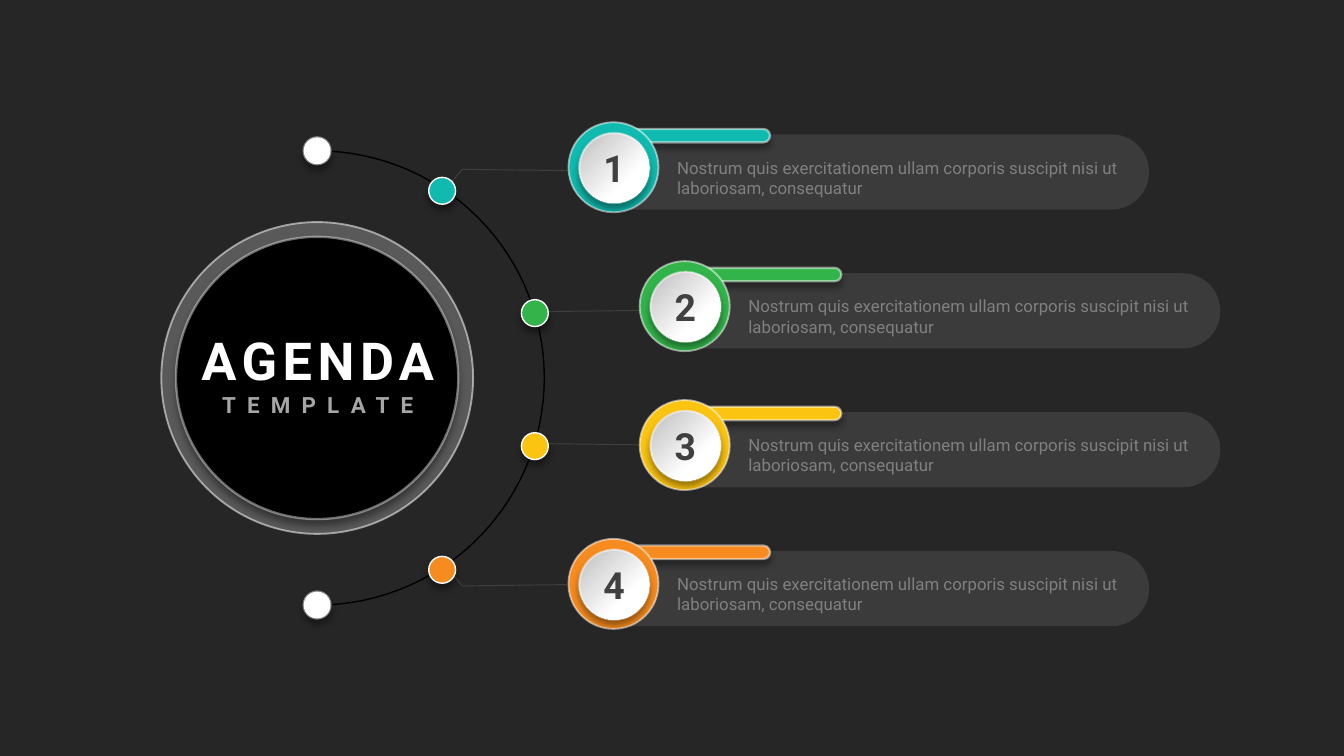
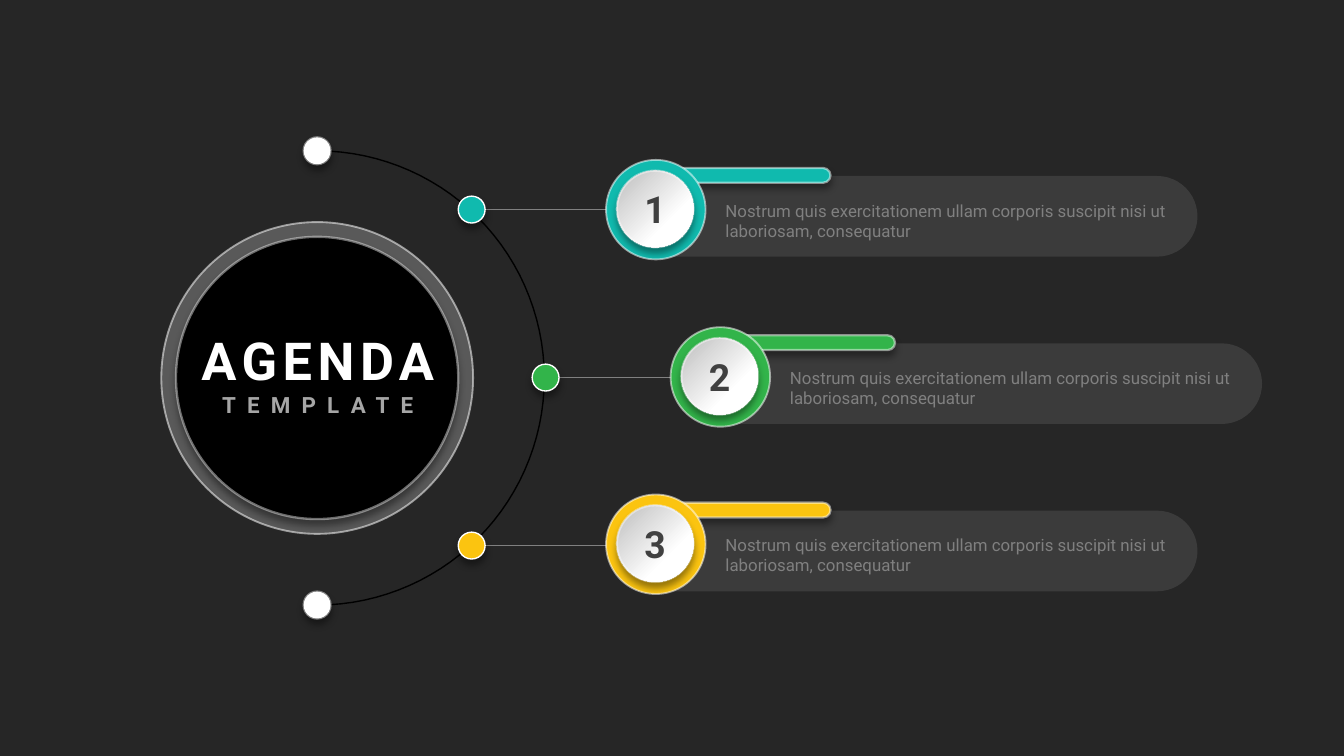
"""Build two dark agenda slides with numbered badges around an arc."""
from dataclasses import dataclass
from itertools import pairwise
from math import cos, pi, sin

from lxml import etree
from pptx import Presentation
from pptx.dml.color import RGBColor
from pptx.enum import shapes, text
from pptx.oxml.ns import qn
from pptx.util import Inches, Pt

DARK = RGBColor(0x26, 0x26, 0x26)
BLACK = RGBColor(0, 0, 0)
WHITE = RGBColor(0xFF, 0xFF, 0xFF)
GREY = RGBColor(0x59, 0x59, 0x59)
INK = RGBColor(0x40, 0x40, 0x40)
MID = RGBColor(0x80, 0x80, 0x80)
PALE = RGBColor(0xA6, 0xA6, 0xA6)
STEEL = RGBColor(0xC7, 0xC7, 0xC7)
TEAL = RGBColor(0x10, 0xBA, 0xAE)
GREEN = RGBColor(0x32, 0xB4, 0x4A)
GOLD = RGBColor(0xFB, 0xC4, 0x10)
ORANGE = RGBColor(0xF6, 0x8B, 0x1F)

FONT = "Roboto"
NOTE = "Nostrum quis exercitationem ullam corporis suscipit nisi ut laboriosam, consequatur"
WIDE = Inches(10)
HIGH = WIDE * 9 // 16
HUB = (2.36, HIGH / Inches(2))
REACH = 1.69
DOT = 0.2
OVAL = shapes.MSO_SHAPE.OVAL
ROUND = shapes.MSO_SHAPE.ROUNDED_RECTANGLE


@dataclass(frozen=True)
class Box:
    x: float
    y: float
    w: float
    h: float

    def shift(self, x: float, y: float) -> "Box":
        return Box(self.x + x, self.y + y, self.w, self.h)

    def emu(self) -> tuple:
        return tuple(Inches(v) for v in (self.x, self.y, self.w, self.h))


@dataclass(frozen=True)
class Edge:
    width: float
    alpha: int = 100


@dataclass(frozen=True)
class Badge:
    ring: Box
    knob: Box
    pill: Box
    bar: Box
    note: Box


@dataclass(frozen=True)
class Item:
    hue: RGBColor
    left: float
    dot: tuple
    wire: tuple


@dataclass(frozen=True)
class Page:
    badge: Badge
    top: float
    pitch: float
    wire: RGBColor
    items: tuple


RIM = Edge(1, 52)
GLOW = Edge(1.25, 42)
TRIM = Edge(1.25, 48)
THIN = Edge(0.75)

SMALL = Badge(Box(0, 0, 0.67, 0.67), Box(0.08, 0.08, 0.52, 0.52),
              Box(0.07, 0.09, 4.25, 0.56), Box(0.28, 0.05, 1.22, 0.1),
              Box(0.71, 0.16, 3.57, 0.54))
LARGE = Badge(Box(0, 0, 0.74, 0.74), Box(0.08, 0.08, 0.57, 0.57),
              Box(0.15, 0.12, 4.25, 0.6), Box(0.31, 0.06, 1.36, 0.11),
              Box(0.79, 0.2, 3.57, 0.54))

PAGES = (
    Page(SMALL, 0.91, 3.1 / 3, INK, (
        Item(TEAL, 4.23, (3.29, 1.42), ((3.29, 1.44), (3.44, 1.26), (4.22, 1.27))),
        Item(GREEN, 4.76, (3.98, 2.33), ((3.98, 2.32), (4.76, 2.31))),
        Item(GOLD, 4.76, (3.98, 3.32), ((3.99, 3.3), (4.76, 3.31))),
        Item(ORANGE, 4.23, (3.29, 4.24), ((3.29, 4.18), (3.44, 4.36), (4.22, 4.35))),
    )),
    Page(LARGE, 1.19, 2.49 / 2, MID, (
        Item(TEAL, 4.51, (3.51, 1.56), ((3.53, 1.56), (4.58, 1.56))),
        Item(GREEN, 4.99, (4.06, 2.81), ((4.06, 2.81), (5.11, 2.81))),
        Item(GOLD, 4.51, (3.51, 4.06), ((3.53, 4.06), (4.58, 4.06))),
    )),
)


def disc(mid: tuple, size: float) -> Box:
    return Box(mid[0] - size / 2, mid[1] - size / 2, size, size)


def fade(node, pct: int) -> None:
    tone = node.find(".//" + qn("a:srgbClr"))
    etree.SubElement(tone, qn("a:alpha"), val=str(pct * 1000))


def shade(shape) -> None:
    effect = shape.element.spPr.find(qn("a:effectLst"))
    drop = etree.SubElement(effect, qn("a:outerShdw"), blurRad=str(Pt(4)),
                            dist=str(Pt(3)), dir="5400000", rotWithShape="0")
    etree.SubElement(drop, qn("a:srgbClr"), val="000000")
    fade(drop, 40)


def write(para, words: str, size: float, hue: RGBColor,
          bold: bool = False, gap: int = 0) -> None:
    run = para.add_run()
    run.text = words
    run.font.name = FONT
    run.font.size = Pt(size)
    run.font.bold = bold
    run.font.color.rgb = hue
    if gap:
        run.font._element.set("spc", str(gap * 100))


def draw(slide, kind, box: Box, fill: RGBColor, edge: Edge | None = None,
         drop: bool = False):
    shape = slide.shapes.add_shape(kind, *box.emu())
    shape.shadow.inherit = False
    shape.fill.solid()
    shape.fill.fore_color.rgb = fill
    if kind == ROUND:
        shape.adjustments[0] = 0.5
    if edge:
        shape.line.color.rgb = WHITE
        shape.line.width = Pt(edge.width)
        if edge.alpha < 100:
            fade(shape.element.spPr.find(qn("a:ln")), edge.alpha)
    else:
        shape.line.fill.background()
    if drop:
        shade(shape)
    return shape


def add_arc(slide) -> None:
    turns = [pi * i / 60 for i in range(61)]
    dots = [(Inches(HUB[0] + REACH * sin(t)), Inches(HUB[1] - REACH * cos(t)))
            for t in turns]
    path = slide.shapes.build_freeform(*dots[0])
    path.add_line_segments(dots[1:], close=False)
    arc = path.convert_to_shape()
    arc.shadow.inherit = False
    arc.fill.background()
    arc.line.color.rgb = BLACK
    arc.line.width = Pt(0.75)
    for side in (-1, 1):
        end = (HUB[0], HUB[1] + side * REACH)
        draw(slide, OVAL, disc(end, DOT), WHITE, GLOW, True)


def add_wire(slide, item: Item, hue: RGBColor) -> None:
    for start, end in pairwise(item.wire):
        line = slide.shapes.add_connector(
            shapes.MSO_CONNECTOR.STRAIGHT, *map(Inches, start + end))
        line.line.color.rgb = hue
        line.line.width = Pt(0.5)
        etree.SubElement(line.element.spPr, qn("a:effectLst"))
    draw(slide, OVAL, disc(item.dot, DOT), item.hue, THIN, True)


def add_badge(slide, badge: Badge, item: Item, top: float, label: str) -> None:
    at = (item.left, top)
    pill = draw(slide, ROUND, badge.pill.shift(*at), GREY)
    fade(pill.element.spPr, 42)
    draw(slide, ROUND, badge.bar.shift(*at), item.hue, TRIM, True)
    draw(slide, OVAL, badge.ring.shift(*at), item.hue, RIM)

    knob = draw(slide, OVAL, badge.knob.shift(*at), WHITE, GLOW, True)
    knob.fill.gradient()
    knob.fill.gradient_angle = 315
    for stop, hue, spot in zip(knob.fill.gradient_stops, (STEEL, WHITE), (0.09, 0.68)):
        stop.color.rgb = hue
        stop.position = spot
    knob.text_frame.vertical_anchor = text.MSO_ANCHOR.MIDDLE
    para = knob.text_frame.paragraphs[0]
    para.alignment = text.PP_ALIGN.CENTER
    write(para, label, 20, INK, True)

    frame = slide.shapes.add_textbox(*badge.note.shift(*at).emu()).text_frame
    frame.word_wrap = True
    frame.margin_left = frame.margin_right = Inches(0.1)
    frame.margin_top = frame.margin_bottom = Inches(0.1)
    write(frame.paragraphs[0], NOTE, 9, MID)


def add_hub(slide) -> None:
    draw(slide, OVAL, disc(HUB, 2.32), GREY, RIM)
    draw(slide, OVAL, disc(HUB, 2.1), BLACK, GLOW, True)
    title = slide.shapes.title
    title.left, title.top, title.width, title.height = Box(1.17, 2.39, 2.39, 0.77).emu()
    title.element.getparent().append(title.element)
    frame = title.text_frame
    frame.word_wrap = True
    frame.auto_size = text.MSO_AUTO_SIZE.SHAPE_TO_FIT_TEXT
    frame.vertical_anchor = text.MSO_ANCHOR.TOP
    head, sub = frame.paragraphs[0], frame.add_paragraph()
    for para in (head, sub):
        para.alignment = text.PP_ALIGN.CENTER
    write(head, "AGENDA", 28, WHITE, True, 3)
    write(sub, "TEMPLATE", 12, PALE, True, 6)


def add_page(deck, page: Page) -> None:
    slide = deck.slides.add_slide(deck.slide_layouts[5])
    add_arc(slide)
    for item in page.items:
        add_wire(slide, item, page.wire)
    for row, item in enumerate(page.items):
        add_badge(slide, page.badge, item, page.top + row * page.pitch, str(row + 1))
    add_hub(slide)


def main() -> None:
    deck = Presentation()
    deck.slide_width, deck.slide_height = WIDE, HIGH
    back = deck.slide_master.background.fill
    back.solid()
    back.fore_color.rgb = DARK
    for page in PAGES:
        add_page(deck, page)
    deck.save("out.pptx")


if __name__ == "__main__":
    main()
